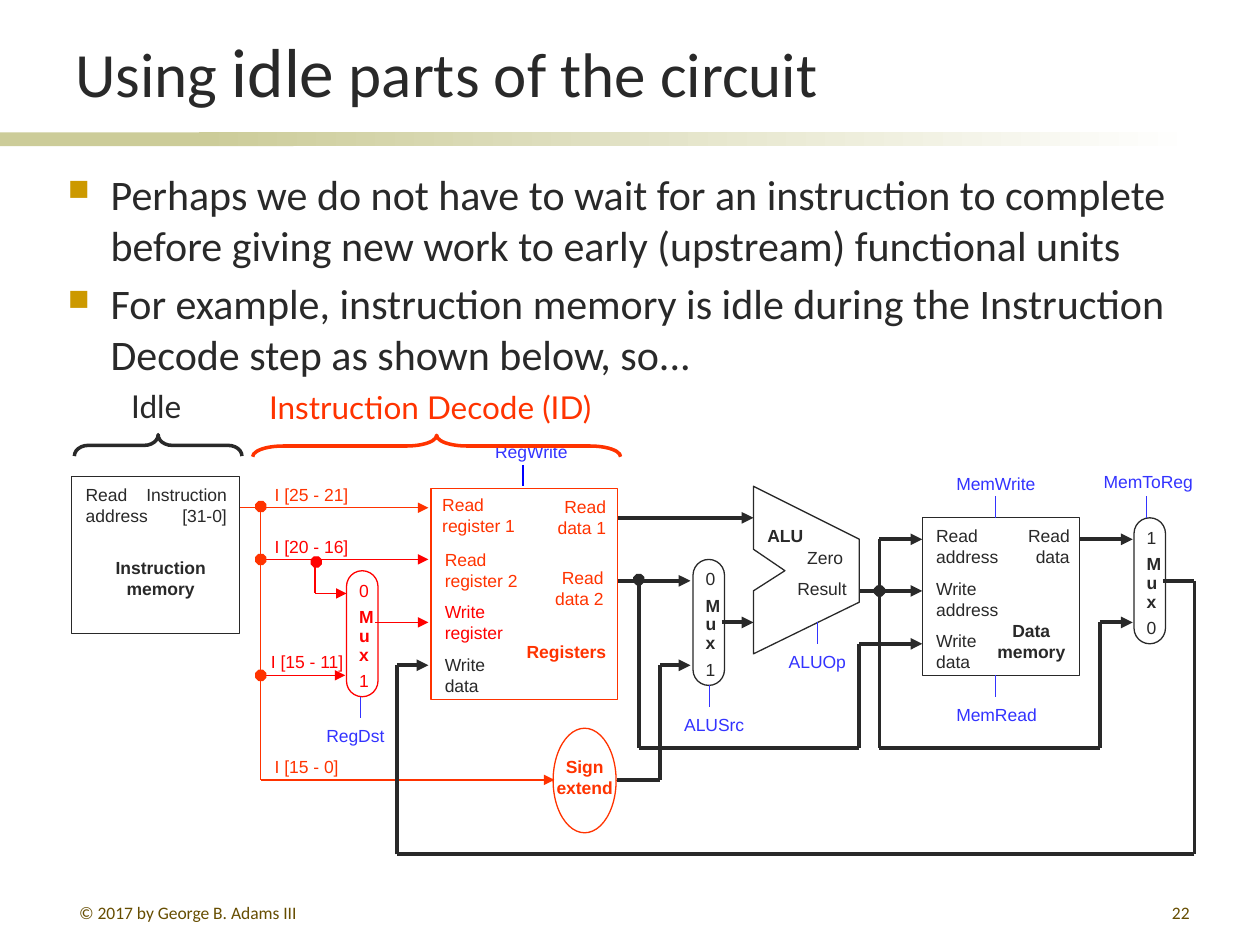
from itertools import pairwise

from lxml import etree
from pptx import Presentation
from pptx import util as u
from pptx.dml.color import RGBColor
from pptx.enum import shapes, text
from pptx.oxml.ns import qn

# Content; positions are in inches and become Cm in size()
INK, ORANGE, RED, BLUE, PURE_BLUE = "292929", "FF3300", "FF0000", "3333FF", "0000FF"
GOLD, SAND, WHITE, BROWN = "CC9900", "CCCC99", "FFFFFF", "664D00"
THIN, THICK, BRACE = 0.75, 2.25, 2
L, C, R = text.PP_ALIGN.LEFT, text.PP_ALIGN.CENTER, text.PP_ALIGN.RIGHT

TITLE = [("Using ", 36), ("idle", 39.6), (" parts of the circuit", 36)]
BULLETS = [
    "Perhaps we do not have to wait for an instruction to complete before "
    "giving new work to early (upstream) functional units",
    "For example, instruction memory is idle during the Instruction Decode "
    "step as shown below, so...",
]
FOOTERS = [  # left, width, align, text
    (0.53, 2.17, L, "© 2017 by George B. Adams III"),
    (7.46, 2.08, R, "22"),
]
STAGES = [  # brace box before rotation, brace depth, caption left, top, width, text, colour
    ((3.38, 2.08, 0.17, 2.92), 1.413, (2.01, 3.03, 2.81), "Instruction Decode (ID)", ORANGE),
    ((1.17, 2.87, 0.17, 1.33), 0.646, (0.93, 3.02, 0.62), "Idle", INK),
]
UNITS = [  # preset, box, colour
    ("RECTANGLE", (0.57, 3.78, 1.33, 1.25), INK),
    ("RECTANGLE", (3.42, 3.88, 1.48, 1.67), ORANGE),
    ("RECTANGLE", (7.32, 4.11, 1.25, 1.25), INK),
    ("OVAL", (4.39, 5.78, 0.5, 0.83), ORANGE),
]
ALU = [(5.98, 3.86), (6.82, 4.28), (6.82, 4.78), (5.98, 5.19),
       (5.98, 4.69), (6.23, 4.53), (5.98, 4.36)]
MUXES = [  # left, top, first input, last input, colour
    (2.75, 4.53, "0", "1", RED),
    (5.5, 4.44, "0", "1", INK),
    (9, 4.11, "1", "0", INK),
]
LABELS = [  # left, top, width, align, colour, bold, lines
    (0.57, 3.78, 0.72, L, INK, False, "Read\naddress"),
    (1.03, 3.78, 0.88, R, INK, False, "Instruction\n[31-0]"),
    (0.8, 4.36, 0.95, C, INK, True, "Instruction\nmemory"),
    (2.07, 3.78, 0.82, L, ORANGE, False, "I [25 - 21]"),
    (2.07, 4.19, 0.82, L, RED, False, "I [20 - 16]"),
    (2.04, 5.11, 0.81, L, RED, False, "I [15 - 11]"),
    (2.07, 5.94, 0.74, L, ORANGE, False, "I [15 - 0]"),
    (3.4, 3.86, 0.81, L, ORANGE, False, "Read\nregister 1"),
    (3.42, 4.3, 0.81, L, ORANGE, False, "Read\nregister 2"),
    (3.42, 4.71, 0.69, L, RED, False, "Write\nregister"),
    (3.42, 5.13, 0.55, L, INK, False, "Write\ndata"),
    (4.3, 3.88, 0.62, R, ORANGE, False, "Read\ndata 1"),
    (4.28, 4.44, 0.62, R, ORANGE, False, "Read\ndata 2"),
    (4.07, 5.03, 0.86, L, ORANGE, True, "Registers"),
    (4.3, 5.94, 0.68, C, ORANGE, True, "Sign\nextend"),
    (5.98, 4.11, 0.51, L, INK, True, "ALU"),
    (6.29, 4.28, 0.51, R, INK, False, "Zero"),
    (6.2, 4.53, 0.63, R, INK, False, "Result"),
    (7.32, 4.11, 0.72, L, INK, False, "Read\naddress"),
    (7.32, 4.53, 0.72, L, INK, False, "Write\naddress"),
    (7.32, 4.94, 0.55, L, INK, False, "Write\ndata"),
    (8.03, 4.11, 0.57, R, INK, False, "Read\ndata"),
    (7.8, 4.86, 0.77, C, INK, True, "Data\nmemory"),
]
CONTROLS = [  # label left, top, width, text, stub x, stub top, stub colour
    (2.48, 5.69, 0.7, "RegDst", 2.86, 5.53, BLUE),
    (3.82, 3.44, 0.81, "RegWrite", 4.15, 3.69, PURE_BLUE),
    (5.32, 5.61, 0.71, "ALUSrc", 5.63, 5.44, BLUE),
    (6.15, 5.11, 0.68, "ALUOp", 6.49, 4.94, BLUE),
    (7.48, 3.69, 0.86, "MemWrite", 7.9, 3.94, BLUE),
    (7.48, 5.53, 0.87, "MemRead", 7.9, 5.36, BLUE),
    (8.65, 3.68, 0.94, "MemToReg", 9.1, 3.94, BLUE),
]
WIRES = [  # colour, width, corner points; each ends in an arrowhead
    (ORANGE, THIN, [(1.9, 4.03), (3.4, 4.03)]),
    (ORANGE, THIN, [(2.07, 4.03), (2.07, 6.19), (4.4, 6.19)]),
    (RED, THIN, [(2.07, 4.44), (3.4, 4.44)]),
    (RED, THIN, [(2.07, 5.36), (2.74, 5.36)]),
    (RED, THIN, [(2.5, 4.46), (2.5, 4.71), (2.75, 4.71)]),
    (RED, THIN, [(2.98, 4.94), (3.4, 4.94)]),
    (INK, THICK, [(4.9, 4.11), (5.98, 4.11)]),
    (INK, THICK, [(4.9, 4.61), (5.48, 4.61)]),
    (INK, THICK, [(5.07, 4.61), (5.07, 5.94), (6.82, 5.94), (6.82, 5.11), (7.32, 5.11)]),
    (INK, THICK, [(4.9, 6.19), (5.24, 6.19), (5.24, 5.28), (5.48, 5.28)]),
    (INK, THICK, [(5.73, 4.94), (5.98, 4.94)]),
    (INK, THICK, [(6.82, 4.69), (7.32, 4.69)]),
    (INK, THICK, [(6.98, 4.69), (6.98, 4.28), (7.32, 4.28)]),
    (INK, THICK, [(6.98, 4.69), (6.98, 5.94), (8.73, 5.94), (8.73, 4.94), (8.99, 4.94)]),
    (INK, THICK, [(8.57, 4.28), (8.99, 4.28)]),
    (INK, THICK, [(9.23, 4.61), (9.48, 4.61), (9.48, 6.78), (3.15, 6.78),
                  (3.15, 5.28), (3.4, 5.28)]),
]
JUNCTIONS = [(2.07, 4.02, ORANGE), (2.07, 4.44, ORANGE), (2.07, 5.36, ORANGE),
             (2.51, 4.46, RED), (5.07, 4.6, INK), (6.98, 4.69, INK)]
DOT, STUB = 0.08, 0.17


def size(inches):
    return u.Cm(inches * 2.54)


def rgb(code):
    return RGBColor.from_string(code)


def apply(target, formats):
    for name, value in formats.items():
        setattr(target, name, value)


def outline(shape, colour, width=THIN):
    shape.shadow.inherit = False
    shape.line.color.rgb = rgb(colour)
    shape.line.width = u.Pt(width)
    shape.fill.background()


def preset(kind, box, colour, width=THIN):
    shape = slide.shapes.add_shape(getattr(shapes.MSO_SHAPE, kind), *map(size, box))
    outline(shape, colour, width)
    return shape


def wire(colour, width, points, arrow=True):
    for start, end in pairwise(points):
        segment = slide.shapes.add_connector(
            shapes.MSO_CONNECTOR.STRAIGHT, *map(size, start + end))
        segment.line.color.rgb = rgb(colour)
        segment.line.width = u.Pt(width)
        if arrow and end == points[-1]:
            etree.SubElement(segment.line._get_or_add_ln(), qn("a:tailEnd"), type="triangle")
        etree.SubElement(segment._element.spPr, qn("a:effectLst"))


def write(box, paragraphs, colour, font, wrap=False, inset=(0.1, 0.05),
          anchor=text.MSO_ANCHOR.TOP):
    """Each paragraph is (paragraph formats, [(text, points, bold), ...])."""
    frame = slide.shapes.add_textbox(*map(size, box)).text_frame
    side, edge = map(size, inset)
    fit = text.MSO_AUTO_SIZE.NONE if wrap else text.MSO_AUTO_SIZE.SHAPE_TO_FIT_TEXT
    apply(frame, dict(word_wrap=wrap, auto_size=fit, vertical_anchor=anchor, margin_left=side,
                      margin_right=side, margin_top=edge, margin_bottom=edge))
    for i, (formats, runs) in enumerate(paragraphs):
        paragraph = frame.add_paragraph() if i else frame.paragraphs[0]
        apply(paragraph, formats)
        for words, points, bold in runs:
            run = paragraph.add_run()
            run.text = words
            apply(run.font, dict(name=font, size=u.Pt(points), bold=bold))
            run.font.color.rgb = rgb(colour)
    return frame


def label(left, top, width, align, colour, bold, lines):
    rows = [(dict(alignment=align), [(row, 10, bold)]) for row in lines.split("\n")]
    write((left, top, width, 0.11 + 0.17 * len(rows)), rows, colour, "Arial", inset=(0.11, 0.06))


deck = Presentation()
deck.slide_width, deck.slide_height = size(10), size(7.5)
slide = deck.slides.add_slide(deck.slide_layouts[6])

# Rule under the title, fading to the right
for left, width in ((0, 2.33), (1.58, 7.92)):
    rule = preset("RECTANGLE", (left, 1.05, width, 0.11), SAND)
    rule.line.fill.background()
    if left:
        rule.fill.gradient()
        rule.fill.gradient_angle = 0
        for stop, colour in zip(rule.fill.gradient_stops, (SAND, WHITE)):
            stop.color.rgb = rgb(colour)
    else:
        rule.fill.solid()
        rule.fill.fore_color.rgb = rgb(SAND)

# Title, bullets and footer
write((0.5, 0.17, 9, 0.76), [({}, [(words, points, False) for words, points in TITLE])],
      INK, "Calibri", wrap=True, anchor=text.MSO_ANCHOR.BOTTOM)
body = write((0.44, 1.29, 9, 1.8),
             [(dict(space_before=u.Pt(4.8 if i else 0)), [(words, 24, False)])
              for i, words in enumerate(BULLETS)], INK, "Calibri", wrap=True)
for paragraph in body.paragraphs:
    props = paragraph._p.get_or_add_pPr()
    props.set("marL", str(size(0.34)))
    props.set("indent", str(-size(0.34)))
    etree.SubElement(etree.SubElement(props, qn("a:buClr")), qn("a:srgbClr"), val=GOLD)
    etree.SubElement(props, qn("a:buSzPct"), val="70000")
    etree.SubElement(props, qn("a:buChar"), char="■")
for left, width, align, words in FOOTERS:
    write((left, 7.11, width, 0.21), [(dict(alignment=align), [(words, 10, False)])],
          BROWN, "Calibri", wrap=True)

# Datapath: wires, junctions, units
for colour, width, points in WIRES:
    wire(colour, width, points)
for x, y, colour in JUNCTIONS:
    dot = preset("OCTAGON", (x - DOT / 2, y - DOT / 2, DOT, DOT), colour)
    dot.fill.solid()
    dot.fill.fore_color.rgb = rgb(colour)
for kind, box, colour in UNITS:
    preset(kind, box, colour)
corners = [tuple(map(size, point)) for point in ALU]
builder = slide.shapes.build_freeform(*corners[0])
builder.add_line_segments(corners[1:], close=True)
outline(builder.convert_to_shape(), INK)

# Multiplexers
for left, top, first, last, colour in MUXES:
    preset("ROUNDED_RECTANGLE", (left, top, 0.25, 1), colour).adjustments[0] = 0.5
    gap, tight = dict(space_before=u.Pt(3)), dict(line_spacing=0.9)
    rows = [({}, first, False), (gap, "M", True), (tight, "u", True),
            (tight, "x", True), (gap, last, False)]
    write((left - 0.01, top + 0.01, 0.36, 1.02),
          [(formats, [(letter, 10, bold)]) for formats, letter, bold in rows],
          colour, "Arial", inset=(0.11, 0.06))

# Port labels and control signals
for entry in LABELS:
    label(*entry)
for left, top, width, words, x, y, colour in CONTROLS:
    label(left, top, width, L, BLUE, False, words)
    wire(colour, THIN, [(x, y), (x, y + STUB)], arrow=False)

# Stage braces
for box, depth, (left, top, width), words, colour in STAGES:
    brace = preset("LEFT_BRACE", box, colour, BRACE)
    brace.rotation = 90
    brace.adjustments[0] = depth
    write((left, top, width, 0.4), [(dict(alignment=C), [(words, 18, False)])],
          colour, "Lato", anchor=text.MSO_ANCHOR.MIDDLE)

deck.save("out.pptx")
